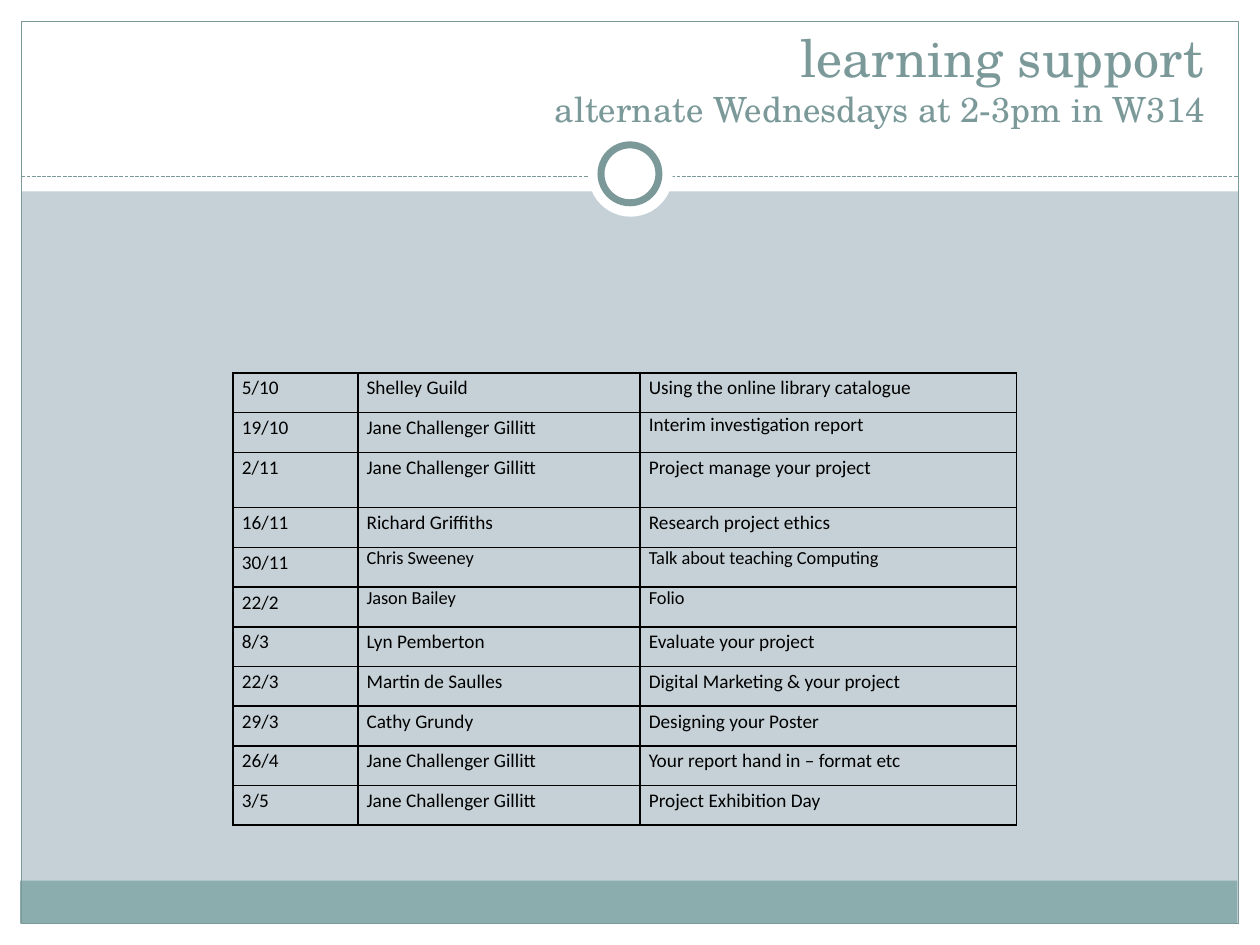
"""Build the learning support timetable slide."""
from lxml.etree import SubElement
from pptx import Presentation
from pptx.dml.color import RGBColor
from pptx.enum.dml import MSO_LINE
from pptx.enum.shapes import MSO_CONNECTOR, MSO_SHAPE
from pptx.enum.text import MSO_ANCHOR, PP_ALIGN
from pptx.oxml.ns import qn
from pptx.util import Inches, Pt

WHITE = RGBColor(0xFF, 0xFF, 0xFF)
BLACK = RGBColor(0, 0, 0)
PALE = RGBColor(0xC5, 0xD1, 0xD7)
TEAL = RGBColor(0x8C, 0xAD, 0xAE)
SLATE = RGBColor(0x7C, 0x99, 0x9A)


def write(para, text, size=11, font="Calibri", color=BLACK, space=None, align=None):
    para.alignment = align
    para.line_spacing = space
    run = para.add_run()
    run.text = text
    run.font.size = Pt(size)
    run.font.name = font
    run.font.color.rgb = color


def border(cell, color, width):
    props = cell._tc.get_or_add_tcPr()
    for side in ("lnL", "lnR", "lnT", "lnB"):
        line = SubElement(props, qn(f"a:{side}"), w=str(Pt(width)))
        fill = SubElement(line, qn("a:solidFill"))
        SubElement(fill, qn("a:srgbClr"), val=str(color))


deck = Presentation()
deck.slide_width, deck.slide_height = Inches(10), Inches(7.5)
slide = deck.slides.add_slide(deck.slide_layouts[5])
slide.background.fill.solid()
slide.background.fill.fore_color.rgb = PALE
shapes = slide.shapes

RECT, OVAL = MSO_SHAPE.RECTANGLE, MSO_SHAPE.OVAL
frame = [
    (RECT, (0, 7.33, 10, 0.17), WHITE, None),
    (RECT, (0, 0, 10, 1.52), WHITE, None),
    (RECT, (0, 0, 0.17, 7.5), WHITE, None),
    (RECT, (9.83, 0, 0.17, 7.5), WHITE, None),
    (RECT, (0.16, 6.99, 9.66, 0.34), TEAL, None),
    (RECT, (0.17, 0.17, 9.66, 7.16), None, 0.75),
    (OVAL, (4.67, 1.05, 0.67, 0.67), WHITE, None),
    (OVAL, (4.77, 1.15, 0.46, 0.46), WHITE, 4),
]

rule = shapes.add_connector(
    MSO_CONNECTOR.STRAIGHT, Inches(0.17), Inches(1.4), Inches(9.83), Inches(1.4))
rule.line.color.rgb = SLATE
rule.line.width = Pt(0.75)
rule.line.dash_style = MSO_LINE.SQUARE_DOT
SubElement(rule._element.spPr, qn("a:effectLst"))

for kind, box, fill, width in frame:
    if kind == OVAL:
        shapes._spTree.append(rule._element) if width is None else None
    shape = shapes.add_shape(kind, *map(Inches, box))
    shape.shadow.inherit = False
    if fill is None:
        shape.fill.background()
    else:
        shape.fill.solid()
        shape.fill.fore_color.rgb = fill
    if width is None:
        shape.line.fill.background()
    else:
        shape.line.color.rgb = SLATE
        shape.line.width = Pt(width)

title = shapes.title
shapes._spTree.append(title._element)
title.left, title.top = Inches(0.33), Inches(0.25)
title.width, title.height = Inches(9.33), Inches(0.83)
title.text_frame.vertical_anchor = MSO_ANCHOR.BOTTOM
head = title.text_frame.paragraphs[0]
look = dict(font="TeX Gyre Schola", color=SLATE, align=PP_ALIGN.RIGHT)
write(head, "learning support", size=29.7, **look)
head.add_line_break()
write(head, "alternate Wednesdays at 2-3pm in W314", size=19.8, **look)

JANE = "Jane Challenger Gillitt"
talks = [
    ("5/10", "Shelley Guild", "Using the online library catalogue"),
    ("19/10", JANE, "Interim investigation report"),
    ("2/11", JANE, "Project manage your project"),
    ("16/11", "Richard Griffiths", "Research project ethics"),
    ("30/11", "Chris Sweeney", "Talk about teaching Computing"),
    ("22/2", "Jason Bailey", "Folio"),
    ("8/3", "Lyn Pemberton", "Evaluate your project"),
    ("22/3", "Martin de Saulles", "Digital Marketing & your project"),
    ("29/3", "Cathy Grundy", "Designing your Poster"),
    ("26/4", JANE, "Your report hand in – format etc"),
    ("3/5", JANE, "Project Exhibition Day"),
]
small = {"30/11", "22/2"}
single = {"Interim investigation report"}

table = shapes.add_table(
    len(talks), 3, Inches(1.85), Inches(2.96), Inches(6.22), Inches(3.57)).table
table.first_row = table.horz_banding = False
for col, width in zip(table.columns, (0.99, 2.24, 2.99)):
    col.width = Inches(width)

for row, talk in zip(table.rows, talks):
    date = talk[0]
    row.height = Inches(0.44 if date == "2/11" else 0.315)
    for cell, text in zip(row.cells, talk):
        border(cell, BLACK, 1)
        cell.fill.background()
        cell.margin_left = cell.margin_right = Inches(0.07)
        cell.margin_top = cell.margin_bottom = 0
        tiny = date in small and text != date
        tight = tiny or text in single
        write(cell.text_frame.paragraphs[0], text,
              size=10.5 if tiny else 11, space=1 if tight else 1.15)

deck.save("out.pptx")
